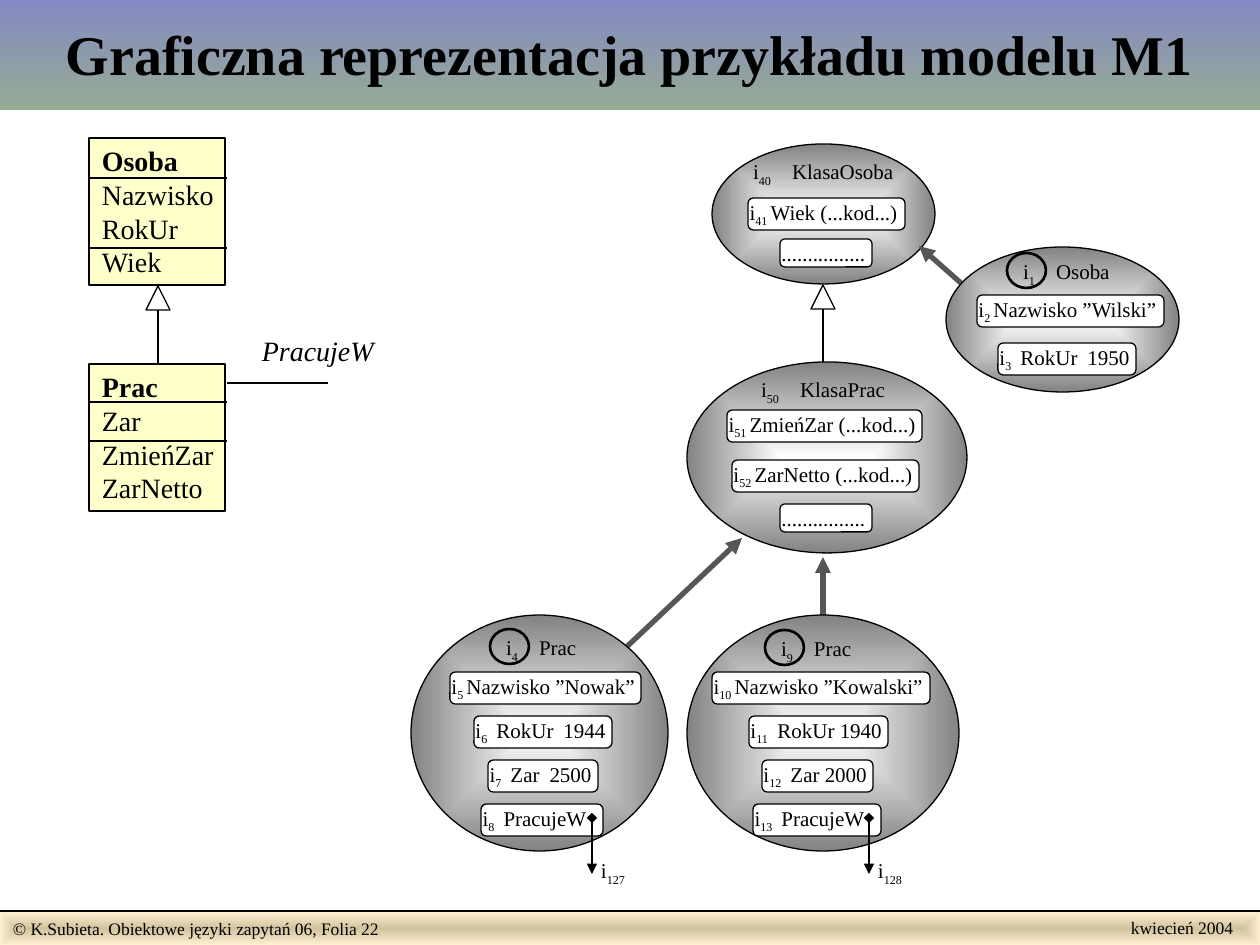
from lxml.etree import SubElement
from pptx import Presentation
from pptx.dml.color import RGBColor
from pptx.enum.shapes import MSO_CONNECTOR, MSO_SHAPE as Preset
from pptx.enum.text import MSO_ANCHOR as Anchor, MSO_AUTO_SIZE as AutoSize, PP_ALIGN as Align
from pptx.oxml.ns import qn
from pptx.util import Emu, Pt


def px(length):
    return Emu(round(length * 914400 / 126))


def color(value):
    return RGBColor.from_string(value)


def write(shape, text, size=12, bold=False, italic=False, align=Align.LEFT, anchor=Anchor.TOP,
          inset=(0, 0), right=0, tabs=(), wrap=False, grow=True, bold_first=False):
    """Fill a shape with text: lines split on newline, subscripts stand between underscores."""
    frame = shape.text_frame
    frame.word_wrap = wrap
    frame.auto_size = AutoSize.SHAPE_TO_FIT_TEXT if grow else AutoSize.NONE
    frame.vertical_anchor = anchor
    frame.margin_left, frame.margin_top = px(inset[0]), px(inset[1])
    frame.margin_right, frame.margin_bottom = px(right), px(inset[1])
    for row, line in enumerate(text.split("\n")):
        paragraph = frame.add_paragraph() if row else frame.paragraphs[0]
        paragraph.alignment = align
        if tabs:
            stops = SubElement(paragraph._p.get_or_add_pPr(), qn("a:tabLst"))
            for stop in tabs:
                SubElement(stops, qn("a:tab"), pos=str(px(stop)), algn="l")
        for part, words in enumerate(line.split("_")):
            if not words:
                continue
            run = paragraph.add_run()
            run.text = words
            font = run.font
            font.name, font.size = "Times New Roman", Pt(size)
            font.bold = bold or (bold_first and row == 0)
            font.italic = italic
            font.color.rgb = color("000000")
            if part % 2:
                font._element.set("baseline", "-25000")


class Diagram:
    INK, WHITE, LINK, NOTE = "000000", "FFFFFF", "565656", "FFFFCC"
    BALL = ("FFFFFF", "838383")
    PAD = (13, 6)
    SLACK = 5  # room for the rounded corners beside a row's text

    def __init__(self, slide):
        self.slide = slide

    def gradient(self, shape, colors, angle=None):
        """Linear at an angle, or from the centre outwards when no angle is given."""
        fill = shape.fill
        fill.gradient()
        for stop, value, place in zip(fill.gradient_stops, colors, (0, 1)):
            stop.color.rgb = color(value)
            stop.position = place
        grad = shape._element.spPr.find(qn("a:gradFill"))
        linear = grad.find(qn("a:lin"))
        if angle is not None:
            linear.set("ang", str(angle * 60000))
            return
        grad.remove(linear)
        centre = SubElement(grad, qn("a:path"), path="rect")
        SubElement(centre, qn("a:fillToRect"), l="50000", t="50000", r="50000", b="50000")

    def title(self, text, box, colors):
        heading = self.slide.shapes.title
        heading.left, heading.top, heading.width, heading.height = map(px, box)
        self.gradient(heading, colors, angle=90)
        write(heading, text, size=32, bold=True, align=Align.CENTER, anchor=Anchor.MIDDLE,
              inset=self.PAD, right=13, wrap=True, grow=False)

    def shape(self, preset, box, fill=None, width=0.75):
        item = self.slide.shapes.add_shape(preset, *map(px, box))
        item.shadow.inherit = False
        if isinstance(fill, tuple):
            self.gradient(item, fill)
        elif fill:
            item.fill.solid()
            item.fill.fore_color.rgb = color(fill)
        else:
            item.fill.background()
        if width:
            item.line.color.rgb = color(self.INK)
            item.line.width = Pt(width)
        else:
            item.line.fill.background()
        return item

    def label(self, text, box, **style):
        write(self.slide.shapes.add_textbox(*map(px, box)), text, **style)

    def line(self, start, end, ink=INK, width=0.75, head=None, tail=None):
        link = self.slide.shapes.add_connector(MSO_CONNECTOR.STRAIGHT, *map(px, start + end))
        link.line.color.rgb = color(ink)
        link.line.width = Pt(width)
        for tag, arrow in (("a:headEnd", head), ("a:tailEnd", tail)):
            if arrow:
                SubElement(link.line._get_or_add_ln(), qn(tag), type=arrow)
        SubElement(link._element.spPr, qn("a:effectLst"))

    def row(self, text, x, y, width, tabs=(), height=32):
        box = (x, y, width + self.SLACK, height)
        write(self.shape(Preset.ROUNDED_RECTANGLE, box, self.WHITE), text, tabs=tabs)

    def ball(self, box, name, name_at, name_tab, rows):
        """An ellipse with its heading and the rounded rows inside it."""
        self.shape(Preset.OVAL, box, self.BALL)
        self.label(name, (*name_at, 160, 29), inset=(5, 0), tabs=(name_tab,), wrap=True)
        for row in rows:
            self.row(*row)

    def instance(self, box, name, ring_at, rows):
        """An object: a ball whose identifier is ringed."""
        x, y = ring_at
        self.ball(box, name, (x + 11, y + 6), 33, rows)
        self.shape(Preset.OVAL, (x, y, 39, 35), width=1.5)

    def pointer(self, x, target):
        self.line((x, 818), (x, 874), head="diamond", tail="triangle")
        self.label(target, (x + 9, 858, 36, 29))

    def inheritance(self, x, top, bottom):
        self.line((x, top + 24), (x, bottom), width=1)
        self.shape(Preset.ISOSCELES_TRIANGLE, (x - 12, top, 24, 24), self.WHITE)

    def uml_class(self, top, text, dividers):
        write(self.shape(Preset.RECTANGLE, (89, top, 136, 147), self.NOTE), text,
              size=16, inset=self.PAD, bold_first=True)
        for y in dividers:
            self.line((88, y), (227, y))


def main():
    deck = Presentation()
    deck.slide_width, deck.slide_height = px(1260), px(945)
    diagram = Diagram(deck.slides.add_slide(deck.slide_layouts[5]))

    # Footer and title
    footer = diagram.shape(Preset.RECTANGLE, (0, 912, 1260, 33), ("D1C39F", "FFEFD1"), width=0)
    write(footer, "© K.Subieta. Obiektowe języki zapytań 06, Folia 22",
          size=10, inset=diagram.PAD, wrap=True)
    diagram.line((0, 911), (1260, 911), width=1)
    diagram.label("kwiecień 2004", (1118, 911, 127, 34), size=10, inset=diagram.PAD)
    diagram.title("Graficzna reprezentacja przykładu modelu M1", (0, -4, 1260, 114),
                  ("8488C4", "96AB94"))

    # Classes
    dots = "................"
    diagram.ball((712, 144, 223, 140), "i_40_\tKlasaOsoba", (748, 159), 39, [
        ("i_41 _Wiek (...kod...)", 748, 198, 152),
        (dots, 780, 239, 87, (), 28)])
    diagram.ball((687, 362, 280, 191), "i_50_\tKlasaPrac", (756, 377), 39, [
        ("i_51 _ZmieńZar (...kod...)", 727, 410, 190),
        ("i_52 _ZarNetto (...kod...)", 732, 460, 182),
        (dots, 780, 504, 87, (), 28)])

    # Links from objects to their classes
    for class_end, object_end in (((823, 557), (823, 633)), ((742, 538), (617, 656)),
                                  ((919, 246), (979, 299))):
        diagram.line(class_end, object_end, diagram.LINK, 3, head="triangle")
    diagram.inheritance(823, 285, 362)

    # Objects
    row_y = [672 + 44 * step for step in range(4)]
    diagram.instance((411, 615, 257, 236), "i_4_\tPrac", (490, 629), [
        ("i_5 _Nazwisko ”Nowak”", 450, row_y[0], 186),
        ("i_6_\tRokUr\t1944", 474, row_y[1], 133, (21, 88)),
        ("i_7_\tZar\t2500", 488, row_y[2], 105, (21, 60)),
        ("i_8_\tPracujeW", 481, row_y[3], 117, (21,))])
    diagram.pointer(592, "i_127_")
    diagram.instance((946, 247, 233, 145), "i_1_\tOsoba", (1007, 253), [
        ("i_2 _Nazwisko ”Wilski”", 977, 295, 182),
        ("i_3_\tRokUr\t1950", 998, 343, 133, (21, 88))])
    diagram.instance((687, 615, 272, 236), "i_9_\tPrac", (765, 630), [
        ("i_10 _Nazwisko ”Kowalski”", 712, row_y[0], 213),
        ("i_11_\tRokUr 1940", 749, row_y[1], 134, (27,)),
        ("i_12_\tZar 2000", 762, row_y[2], 106, (27,)),
        ("i_13_\tPracujeW", 753, row_y[3], 123, (27,))])
    diagram.pointer(869, "i_128_")

    # UML class diagram
    diagram.uml_class(138, "Osoba\nNazwisko\nRokUr\nWiek", (178, 248))
    diagram.inheritance(158, 286, 363)
    diagram.uml_class(364, "Prac\nZar\nZmieńZar\nZarNetto", (402, 441))
    diagram.line((227, 383), (328, 383))
    diagram.label("PracujeW", (249, 328, 136, 47), size=16, italic=True, inset=diagram.PAD)

    deck.save("out.pptx")


if __name__ == "__main__":
    main()
